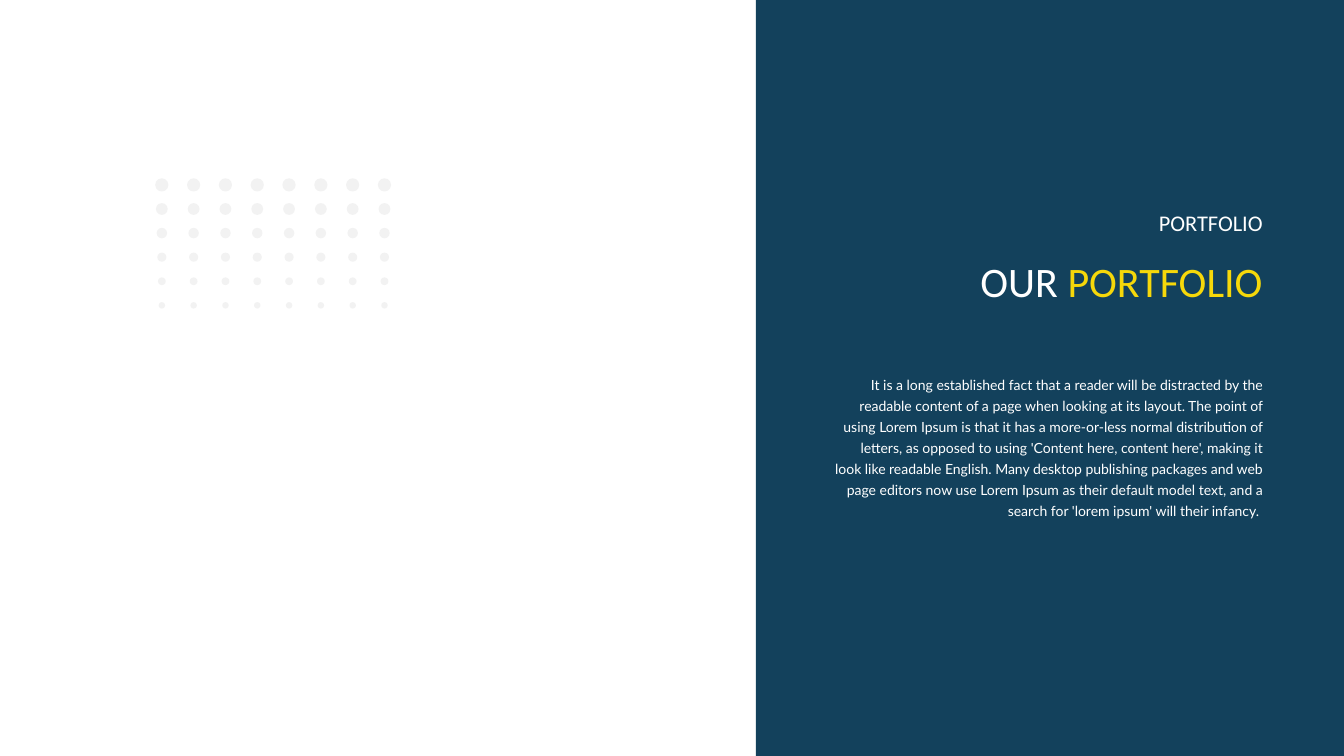
from pptx import Presentation
from pptx.dml.color import RGBColor
from pptx.enum.shapes import MSO_SHAPE
from pptx.enum.text import MSO_AUTO_SIZE, PP_ALIGN
from pptx.util import Pt

RECTANGLE, OVAL = MSO_SHAPE.RECTANGLE, MSO_SHAPE.OVAL
RIGHT = PP_ALIGN.RIGHT
FIT_SHAPE = MSO_AUTO_SIZE.SHAPE_TO_FIT_TEXT

COLOURS = {"panel": "13415C", "text": "FFFFFF", "accent": "F6D80A", "dot": "F2F2F2"}

BODY = (
    "It is a long established fact that a reader will be distracted by the "
    "readable content of a page when looking at its layout. The point of using "
    "Lorem Ipsum is that it has a more-or-less normal distribution of letters, "
    "as opposed to using 'Content here, content here', making it look like "
    "readable English. Many desktop publishing packages and web page editors "
    "now use Lorem Ipsum as their default model text, and a search for "
    "'lorem ipsum' will their infancy. "
)

# Runs (text, colour), font, size, line spacing, top, width, height
TEXTS = [
    ([("OUR ", "text"), ("PORTFOLIO", "accent")], "Calibri", 30, 45, 170, 307.5, 50.4),
    ([("PORTFOLIO", "text")], "Calibri", 16, 20, 144.7, 140.4, 27.4),
    ([(BODY, "text")], "Lato", 10, 15, 262.1, 321, 111.6),
]

SLIDE_WIDTH, SLIDE_HEIGHT = 960, 540
PANEL_LEFT = 540
TEXT_RIGHT = 909

DOT_COLUMNS, DOT_ROWS = 8, 6
FIRST_DOT_X, FIRST_DOT_Y = 115.6, 132.1
DOT_STEP_X, DOT_STEP_Y = 22.72, 17.2
LARGEST_DOT, DOT_SHRINK = 9.4, 0.97


def colour(name):
    return RGBColor.from_string(COLOURS[name])


def add_filled(shapes, preset, left, top, width, height, fill):
    shape = shapes.add_shape(preset, Pt(left), Pt(top), Pt(width), Pt(height))
    shape.shadow.inherit = False
    shape.fill.solid()
    shape.fill.fore_color.rgb = colour(fill)
    shape.line.fill.background()


def add_right_text(slide, runs, font, size, spacing, top, width, height):
    box = slide.shapes.add_textbox(Pt(TEXT_RIGHT - width), Pt(top), Pt(width), Pt(height))
    frame = box.text_frame
    frame.word_wrap = True
    frame.auto_size = FIT_SHAPE
    paragraph = frame.paragraphs[0]
    paragraph.alignment = RIGHT
    paragraph.line_spacing = Pt(spacing)
    for text, colour_name in runs:
        run = paragraph.add_run()
        run.text = text
        run.font.name = font
        run.font.size = Pt(size)
        run.font.color.rgb = colour(colour_name)


def add_dot_grid(slide):
    """Draw columns of dots that shrink from the top row down."""
    dots = slide.shapes.add_group_shape().shapes
    for column in range(DOT_COLUMNS):
        for row in range(DOT_ROWS):
            size = LARGEST_DOT - row * DOT_SHRINK
            left = FIRST_DOT_X + column * DOT_STEP_X - size / 2
            top = FIRST_DOT_Y + row * DOT_STEP_Y - size / 2
            add_filled(dots, OVAL, left, top, size, size, "dot")


def main():
    presentation = Presentation()
    presentation.slide_width = Pt(SLIDE_WIDTH)
    presentation.slide_height = Pt(SLIDE_HEIGHT)
    slide = presentation.slides.add_slide(presentation.slide_layouts[6])
    add_filled(slide.shapes, RECTANGLE, PANEL_LEFT, 0,
               SLIDE_WIDTH - PANEL_LEFT, SLIDE_HEIGHT, "panel")
    for text in TEXTS:
        add_right_text(slide, *text)
    add_dot_grid(slide)
    presentation.save("out.pptx")


if __name__ == "__main__":
    main()
